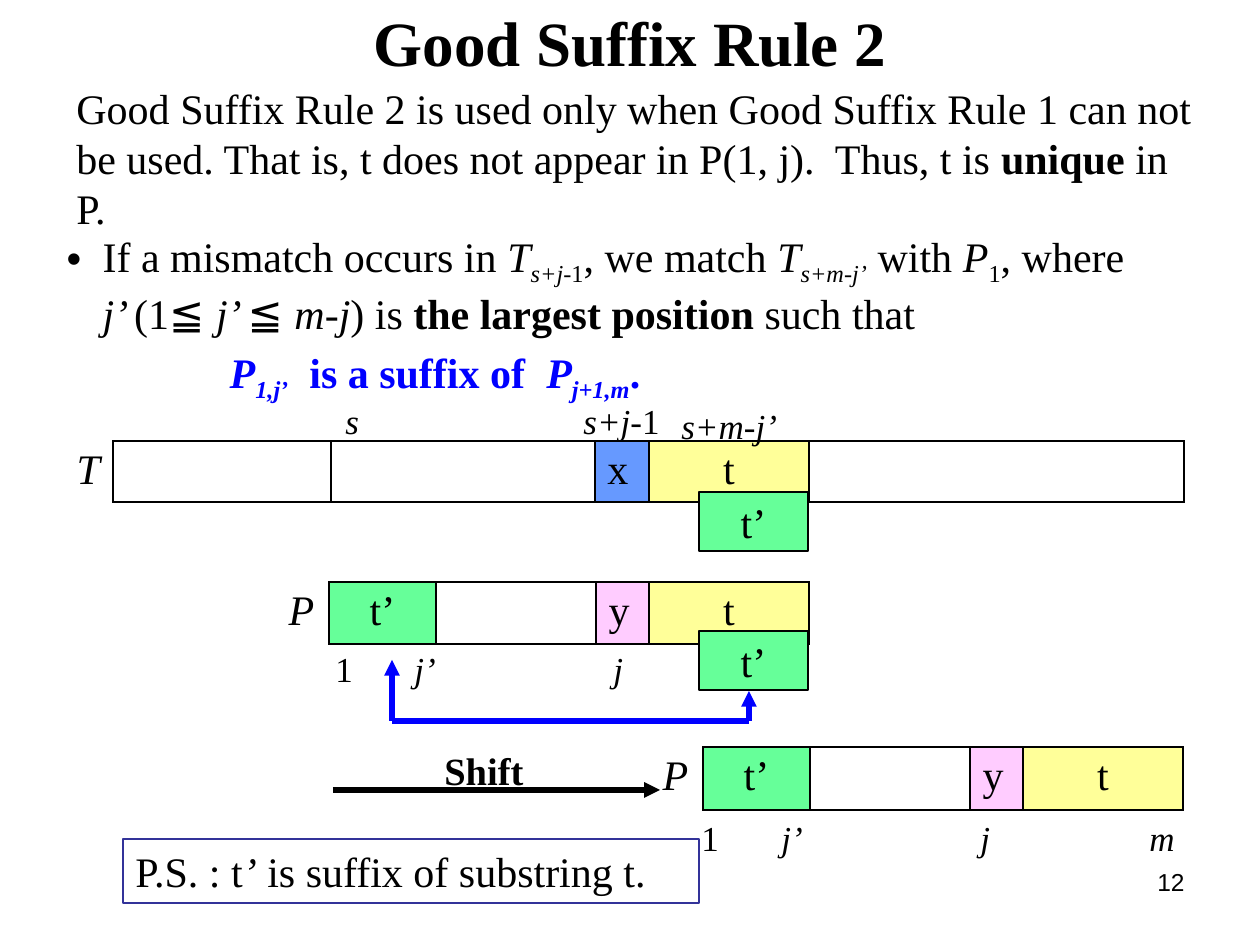
from lxml import etree
from pptx import Presentation
from pptx.dml.color import RGBColor
from pptx.enum.shapes import MSO_CONNECTOR, MSO_SHAPE
from pptx.enum.text import MSO_ANCHOR, MSO_AUTO_SIZE, PP_ALIGN
from pptx.oxml.ns import qn
from pptx.util import Pt

LEFT, CENTER, RIGHT = PP_ALIGN.LEFT, PP_ALIGN.CENTER, PP_ALIGN.RIGHT
TOP, MIDDLE = MSO_ANCHOR.TOP, MSO_ANCHOR.MIDDLE
SERIF, SANS = "Times New Roman", "Arial"
BLACK, BLUE, NAVY = "000000", "0000FF", "333399"
SKY, YELLOW, GREEN, PINK = "6699FF", "FFFF99", "66FF99", "FFCCFF"
EMU_PER_PX = 914400 / 126

# Run flags: b bold, i italic, _ subscript, s sans.
TITLE = [("Good Suffix Rule 2", "b")]
INTRO = [
    ("Good Suffix Rule 2 is used only when Good Suffix Rule 1 can not be used. "
     "That is, t does not appear in P(1, j).  Thus, t is ", ""),
    ("unique", "b"), (" in P.", ""),
]
MISMATCH = [
    ("If a mismatch occurs in ", ""), ("T", "i"), ("s+j-", "i_"), ("1", "_"),
    (", we match ", ""), ("T", "i"), ("s+m-j’", "i_"), (" with ", ""),
    ("P", "i"), ("1", "_"), (", where ", ""), ("j’ ", "i"), ("(1", ""),
    ("≦ ", "s"), ("j’ ", "i"), ("≦ ", "s"), ("m", "i"), ("-", ""), ("j", "i"),
    (") is ", ""), ("the largest position", "b"), (" such that", ""),
]
CONDITION = [
    ("P", "bi"), ("1,j’", "bi_"), ("  is a suffix of  ", "b"),
    ("P", "bi"), ("j+1,m", "bi_"), (".", "b"),
]
POSTSCRIPT = [("P.S. : t", ""), ("’", "i"), (" is suffix of substring t.", "")]

TEXT_CELLS = [("T", 49, None), ("", 218, None), ("", 264, None),
              ("x", 54, SKY), ("t", 160, YELLOW), ("", 375, None)]
PATTERN_CELLS = [("P", 53, None), ("t’", 107, GREEN), ("", 160, None),
                 ("y", 53, PINK), ("t", 160, YELLOW)]
STRIPS = [(64, 441, 61, TEXT_CELLS), (276, 582, 62, PATTERN_CELLS),
          (650, 747, 63, PATTERN_CELLS)]
CENTERED = ("t", "t’")

INDEX_LABELS = [
    (333, 393, 40, [("s", "i")]),
    (571, 393, 110, [("s+j-", "i"), ("1", "")]),
    (669, 398, 139, [("s+m-j’", "i")]),
    (323, 641, 59, [("1", "")]),
    (402, 641, 59, [("j’", "i")]),
    (601, 641, 59, [("j", "i")]),
    (689, 810, 59, [("1", "")]),
    (769, 810, 59, [("j’", "i")]),
    (968, 810, 59, [("j", "i")]),
    (1137, 810, 49, [("m", "i")]),
]
SUFFIX_TOPS = [492, 631]
LINES = [
    (333, 790, 660, 790, BLACK, True),
    (392, 721, 392, 660, BLUE, True),
    (749, 721, 749, 691, BLUE, True),
    (392, 721, 749, 721, BLUE, False),
]


def px(value):
    return round(value * EMU_PER_PX)


def color(hex_string):
    return RGBColor.from_string(hex_string)


def write(paragraph, runs, size=24, ink=BLACK, align=LEFT, font=SERIF):
    paragraph.alignment = align
    for text, flags in runs:
        run = paragraph.add_run()
        run.text = text
        run.font.size = Pt(size)
        run.font.name = SANS if "s" in flags else font
        run.font.bold = "b" in flags
        run.font.italic = "i" in flags
        run.font.color.rgb = color(ink)
        if "_" in flags:
            run._r.get_or_add_rPr().set("baseline", "-25000")


def place(shape, left, top, width, height):
    shape.left, shape.top = px(left), px(top)
    shape.width, shape.height = px(width), px(height)


def set_frame(frame, anchor=TOP):
    frame.word_wrap = True
    frame.auto_size = MSO_AUTO_SIZE.NONE
    frame.vertical_anchor = anchor


def add_label(slide, left, top, width, height, runs, **fmt):
    frame = slide.shapes.add_textbox(*map(px, (left, top, width, height))).text_frame
    set_frame(frame)
    write(frame.paragraphs[0], runs, **fmt)


def add_box(slide, left, top, width, height, runs, fill, outline, anchor, **fmt):
    box = slide.shapes.add_shape(MSO_SHAPE.RECTANGLE, *map(px, (left, top, width, height)))
    box.shadow.inherit = False
    if fill:
        box.fill.solid()
        box.fill.fore_color.rgb = color(fill)
    else:
        box.fill.background()
    box.line.color.rgb = color(outline)
    box.line.width = Pt(0.75)
    set_frame(box.text_frame, anchor)
    write(box.text_frame.paragraphs[0], runs, **fmt)


def set_borders(cell, visible_sides):
    properties = cell._tc.get_or_add_tcPr()
    for order, side in enumerate("LRTB"):
        border = etree.Element(qn(f"a:ln{side}"), w=str(Pt(1)))
        if side in visible_sides:
            fill = etree.SubElement(border, qn("a:solidFill"))
            etree.SubElement(fill, qn("a:srgbClr"), val=BLACK)
        else:
            etree.SubElement(border, qn("a:noFill"))
        properties.insert(order, border)


def add_strip(slide, left, top, height, cells):
    width = sum(cell_width for _, cell_width, _ in cells)
    strip = slide.shapes.add_table(1, len(cells), *map(px, (left, top, width, height))).table
    strip.first_row = strip.horz_banding = False
    for column, (text, cell_width, fill) in enumerate(cells):
        strip.columns[column].width = px(cell_width)
        cell = strip.cell(0, column)
        if fill:
            cell.fill.solid()
            cell.fill.fore_color.rgb = color(fill)
        else:
            cell.fill.background()
        set_borders(cell, "LRTB" if column else "R")
        if text:
            write(cell.text_frame.paragraphs[0], [(text, "" if column else "i")],
                  align=CENTER if text in CENTERED else LEFT)


def add_line(slide, x1, y1, x2, y2, ink, arrow):
    line = slide.shapes.add_connector(MSO_CONNECTOR.STRAIGHT, *map(px, (x1, y1, x2, y2)))
    line.line.color.rgb = color(ink)
    line.line.width = Pt(3)
    if arrow:
        etree.SubElement(line.line._get_or_add_ln(), qn("a:tailEnd"), type="triangle")
    etree.SubElement(line._element.spPr, qn("a:effectLst"))


def add_body(body):
    place(body, 54, 224, 1084, 218)
    set_frame(body.text_frame)
    mismatch = body.text_frame.paragraphs[0]
    condition = body.text_frame.add_paragraph()
    for paragraph, margin, indent in ((mismatch, 36, -36), (condition, 163, 0)):
        properties = paragraph._p.get_or_add_pPr()
        properties.set("marL", str(px(margin)))
        properties.set("indent", str(px(indent)))
    etree.SubElement(mismatch._p.get_or_add_pPr(), qn("a:buChar"), char="•")
    etree.SubElement(condition._p.get_or_add_pPr(), qn("a:buNone"))
    mismatch.space_before = Pt(0)
    condition.space_before = Pt(4.8)
    write(mismatch, MISMATCH)
    write(condition, CONDITION, ink=BLUE)


def main():
    deck = Presentation()
    deck.slide_width, deck.slide_height = px(1260), px(945)
    slide = deck.slides.add_slide(deck.slide_layouts[1])
    title, body = slide.placeholders
    place(title, 63, -4, 1134, 90)
    set_frame(title.text_frame, MIDDLE)
    write(title.text_frame.paragraphs[0], TITLE, size=36, align=CENTER)
    add_body(body)
    add_label(slide, 64, 76, 1142, 164, INTRO)
    for strip in STRIPS:
        add_strip(slide, *strip)
    for left, top, width, runs in INDEX_LABELS:
        add_label(slide, left, top, width, 54, runs, size=20)
    add_label(slide, 432, 741, 118, 59, [("Shift", "b")], size=22)
    add_box(slide, 123, 839, 576, 64, POSTSCRIPT, None, NAVY, TOP)
    for top in SUFFIX_TOPS:
        add_box(slide, 699, top, 109, 59, [("t’", "")], GREEN, BLACK, MIDDLE, align=CENTER)
    for line in LINES:
        add_line(slide, *line)
    add_label(slide, 903, 861, 294, 66, [("12", "")], size=14, align=RIGHT, font=SANS)
    deck.save("out.pptx")


if __name__ == "__main__":
    main()
